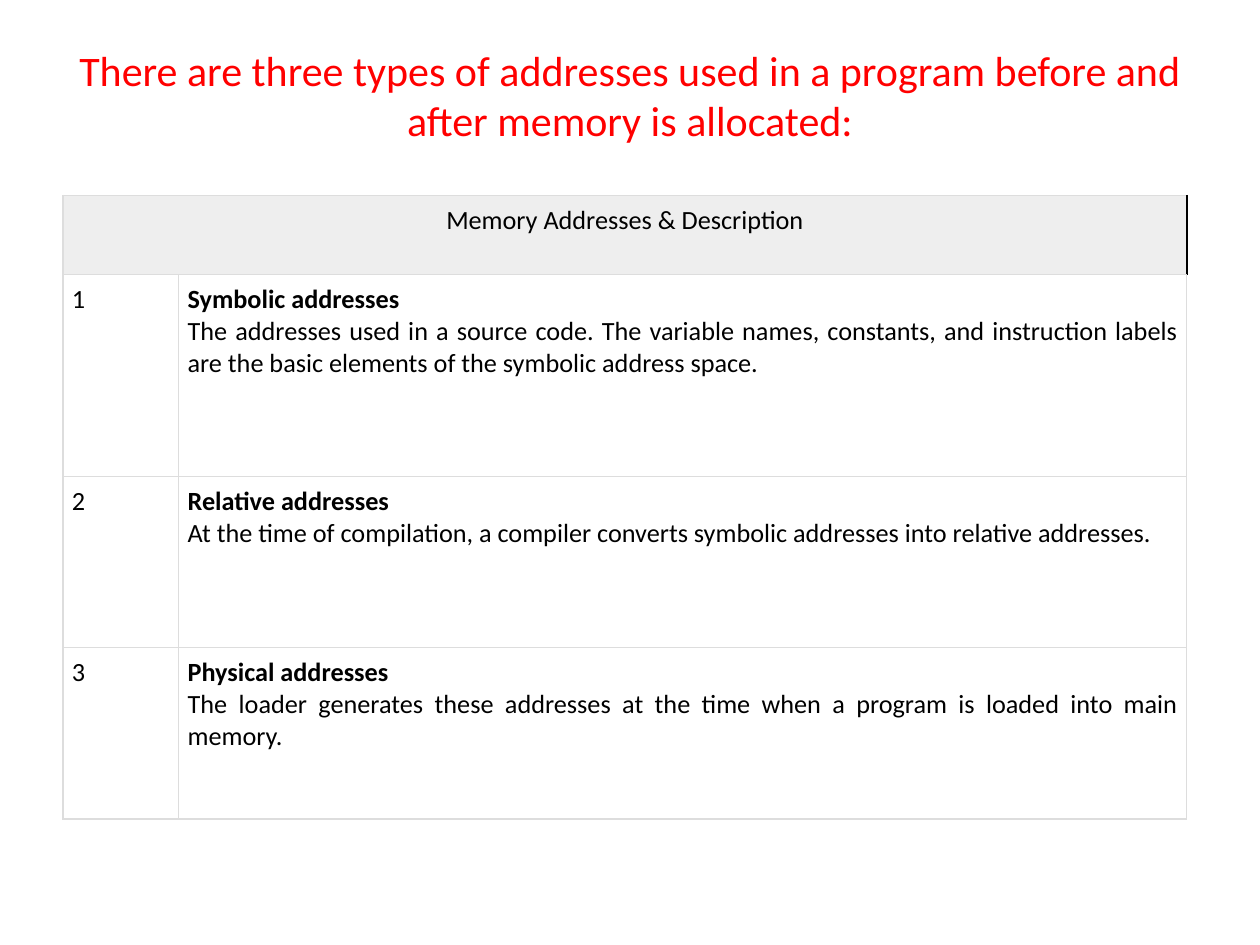
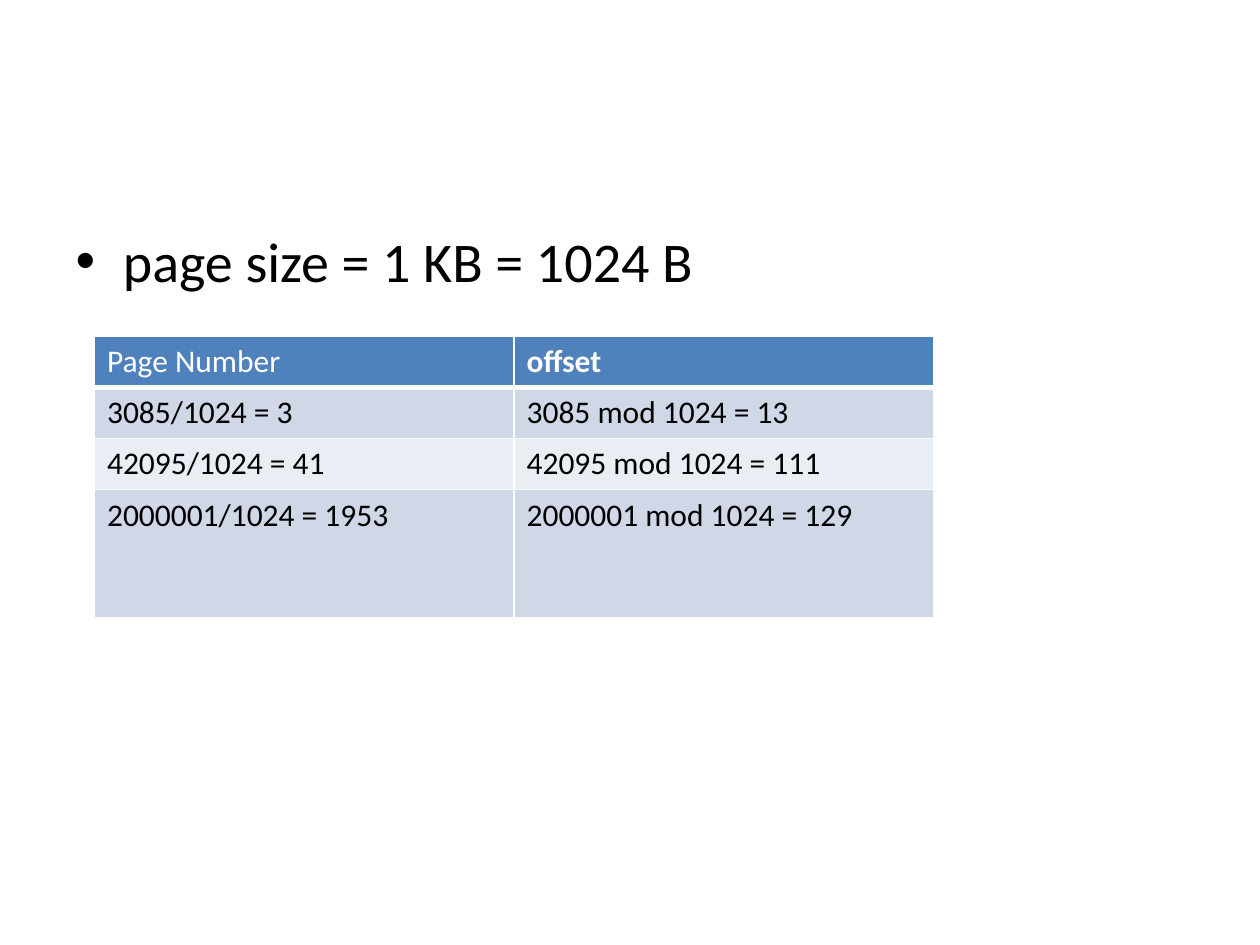
from lxml.etree import SubElement
from pptx import Presentation
from pptx.dml.color import RGBColor
from pptx.enum.text import MSO_ANCHOR, PP_ALIGN
from pptx.oxml.ns import qn
from pptx.util import Inches, Pt

FONT = "Calibri"
RED = RGBColor(0xFF, 0x00, 0x00)
BLACK = RGBColor(0x00, 0x00, 0x00)
WHITE = RGBColor(0xFF, 0xFF, 0xFF)
HEADER_GRAY = RGBColor(0xEE, 0xEE, 0xEE)
BORDER_GRAY = RGBColor(0xDD, 0xDD, 0xDD)
HEADER_BLUE = RGBColor(0x4F, 0x81, 0xBD)
BANDS = (RGBColor(0xD0, 0xD8, 0xE8), RGBColor(0xE9, 0xED, 0xF4))

ADDRESS_TYPES = [
    ("Symbolic addresses",
     "The addresses used in a source code. The variable names, constants, and "
     "instruction labels are the basic elements of the symbolic address space."),
    ("Relative addresses",
     "At the time of compilation, a compiler converts symbolic addresses into "
     "relative addresses."),
    ("Physical addresses",
     "The loader generates these addresses at the time when a program is loaded "
     "into main memory."),
]
PAGE_ROWS = [
    ("Page Number", "offset"),
    ("3085/1024 = 3", "3085 mod 1024 = 13"),
    ("42095/1024 = 41", "42095 mod 1024 = 111"),
    ("2000001/1024 = 1953", "2000001 mod 1024 = 129"),
]


def place(shape, left, top, width, height):
    """Set the position and size of a shape in inches."""
    shape.left, shape.top = Inches(left), Inches(top)
    shape.width, shape.height = Inches(width), Inches(height)


def format_paragraph(paragraph, size, color, bold=False, alignment=None):
    """Apply the shared font and the given text style to a paragraph."""
    font = paragraph.font
    font.name, font.size, font.bold = FONT, Pt(size), bold
    font.color.rgb = color
    paragraph.alignment = alignment


def add_plain_table(slide, left, top, widths, heights):
    """Add a table without style flags, sized by its columns and rows."""
    frame = slide.shapes.add_table(
        len(heights), len(widths), Inches(left), Inches(top),
        Inches(sum(widths)), Inches(sum(heights)))
    table = frame.table
    table.first_row = table.horz_banding = False
    for column, width in zip(table.columns, widths):
        column.width = Inches(width)
    for row, height in zip(table.rows, heights):
        row.height = Inches(height)
    return table


def style_cell(cell, fill, color, width, **sides):
    """Fill a cell and draw its borders; sides override (color, width)."""
    if fill is None:
        cell.fill.background()
    else:
        cell.fill.solid()
        cell.fill.fore_color.rgb = fill
    properties = cell._tc.get_or_add_tcPr()
    for index, side in enumerate("LRTB"):
        line_color, line_width = sides.get(side, (color, width))
        line = SubElement(properties, qn(f"a:ln{side}"), w=str(Pt(line_width)))
        solid = SubElement(line, qn("a:solidFill"))
        SubElement(solid, qn("a:srgbClr"), val=str(line_color))
        properties.insert(index, line)


def add_title(slide, text):
    """Place and format the title above the content area."""
    title = slide.shapes.title
    place(title, 0.5, 0.3, 9, 1.25)
    frame = title.text_frame
    frame.text = text
    frame.word_wrap = True
    frame.vertical_anchor = MSO_ANCHOR.MIDDLE
    frame.margin_bottom = Inches(0.4)
    format_paragraph(frame.paragraphs[0], 24, RED, alignment=PP_ALIGN.CENTER)


def add_address_table(slide, left, top):
    """Add the table of numbered address types under a merged header."""
    table = add_plain_table(slide, left, top, (0.92, 8), (0.63, 1.6, 1.36, 1.36))
    table.cell(0, 0).merge(table.cell(0, 1))
    table.cell(0, 0).text = "Memory Addresses & Description"
    for number, description in enumerate(ADDRESS_TYPES, 1):
        table.cell(number, 0).text = str(number)
        table.cell(number, 1).text = "\n".join(description)

    for row_index, row in enumerate(table.rows):
        for column_index, cell in enumerate(row.cells):
            cell.margin_left = cell.margin_right = Inches(0.07)
            cell.margin_top = cell.margin_bottom = Inches(0.07)
            if row_index == 0:
                style_cell(cell, HEADER_GRAY, BORDER_GRAY, 0.75, R=(BLACK, 1))
                alignment = PP_ALIGN.CENTER
            else:
                style_cell(cell, None, BORDER_GRAY, 0.75)
                alignment = PP_ALIGN.JUSTIFY if column_index else PP_ALIGN.LEFT
            paragraphs = cell.text_frame.paragraphs
            for index, paragraph in enumerate(paragraphs):
                is_heading = len(paragraphs) > 1 and index == 0
                format_paragraph(paragraph, 15, BLACK, is_heading, alignment)


def add_page_table(slide, left, top):
    """Add the banded table of page numbers and offsets."""
    table = add_plain_table(slide, left, top, (3.33, 3.33), (0.4, 0.4, 0.4, 1.02))
    heavy = (WHITE, 3)
    for row_index, texts in enumerate(PAGE_ROWS):
        is_header = row_index == 0
        fill = HEADER_BLUE if is_header else BANDS[(row_index - 1) % 2]
        sides = {0: {"B": heavy}, 1: {"T": heavy}}.get(row_index, {})
        for column_index, text in enumerate(texts):
            cell = table.cell(row_index, column_index)
            cell.text = text
            style_cell(cell, fill, WHITE, 1, **sides)
            format_paragraph(cell.text_frame.paragraphs[0], 18,
                             WHITE if is_header else BLACK,
                             is_header and column_index == 1)


def build_address_slide(presentation):
    """Build the slide on the three types of addresses."""
    slide = presentation.slides.add_slide(presentation.slide_layouts[5])
    add_title(slide, "There are three types of addresses used in a program "
                     "before and after memory is allocated:")
    add_address_table(slide, 0.5, 1.55)


def build_page_slide(presentation):
    """Build the slide that works out page numbers and offsets."""
    slide = presentation.slides.add_slide(presentation.slide_layouts[1])
    title = slide.shapes.title.element
    title.getparent().remove(title)
    body = slide.placeholders[1]
    place(body, 0.5, 1.75, 9, 4.95)
    body.text_frame.text = "page size = 1 KB = 1024 B"
    format_paragraph(body.text_frame.paragraphs[0], 32, BLACK)
    add_page_table(slide, 0.75, 2.67)


def main():
    """Build both slides and save the presentation."""
    presentation = Presentation()
    presentation.slide_width = Inches(10)
    presentation.slide_height = Inches(7.5)
    build_address_slide(presentation)
    build_page_slide(presentation)
    presentation.save("out.pptx")


if __name__ == "__main__":
    main()
